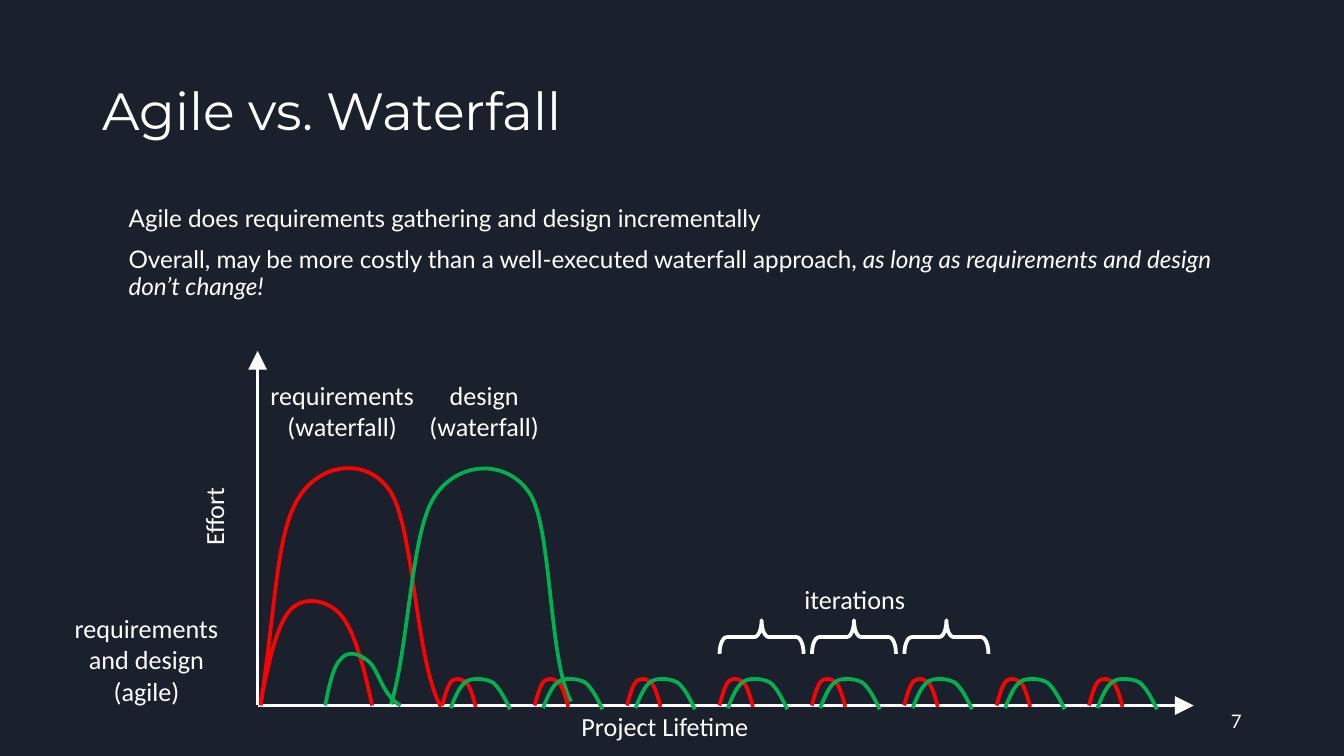
from lxml.etree import SubElement
from pptx import Presentation
from pptx.dml.color import RGBColor
from pptx.enum.shapes import MSO_CONNECTOR, MSO_SHAPE
from pptx.enum.text import MSO_ANCHOR, PP_ALIGN
from pptx.oxml.ns import qn
from pptx.util import Pt

COLORS = {"background": "1B212C", "white": "FFFFFF",
          "requirements": "FF0000", "design": "00B050"}
LINE_WIDTH = 2
ITERATIONS = 8
PITCH = 49.5  # distance between iterations
CURVE_STEPS = 16

# Curves: a start point, then two control points and an end for each segment
WATERFALL_REQUIREMENTS = [
    (139.7, 378), (148.3, 319), (148.3, 285.8), (159.8, 267.1),
    (171.4, 247.7), (196.6, 244.8), (208.8, 262.8),
    (221.8, 281.5), (222.5, 353.5), (236.2, 378.7)]
WATERFALL_DESIGN = [
    (209.5, 377.3), (218.9, 347), (220.3, 285.1), (232.6, 266.4),
    (244.8, 247), (271.4, 245.5), (283.7, 264.2),
    (295.9, 282.2), (293.8, 354.2), (306, 375.8)]
AGILE_REQUIREMENTS = [
    (139.7, 375.8), (144, 355), (148.3, 334.8), (155.5, 326.9),
    (162.7, 319), (175.7, 321.1), (182.9, 329.8),
    (190.1, 338.4), (195.1, 357.8), (199.4, 378)]
AGILE_DESIGN = [
    (174.2, 378), (176.4, 367.2), (178.6, 356.4), (182.9, 352.8),
    (186.5, 348.5), (192.2, 349.9), (197.3, 354.2),
    (203, 358.6), (204.5, 372.2), (214.6, 378)]
ITERATION_REQUIREMENTS = [
    (236.9, 378), (238.3, 373), (239.8, 367.2), (241.9, 365),
    (244.1, 362.9), (247.7, 363.6), (249.9, 365.8),
    (252, 367.9), (253.5, 373.7), (254.9, 378.7)]
ITERATION_DESIGN = [
    (241.4, 379.4), (244, 372.9), (246.4, 367.2), (250, 365),
    (253.6, 362.8), (260.5, 363.6), (264.1, 365.7),
    (267.7, 368.6), (270.6, 374.4), (273.3, 380)]


def rgb(name):
    return RGBColor.from_string(COLORS[name])


def style_runs(p, font, size):
    for r in p.runs:
        r.font.name = font
        r.font.size = Pt(size)
        r.font.color.rgb = rgb("white")


def style_line(s, color):
    s.line.color.rgb = rgb(color)
    s.line.width = Pt(LINE_WIDTH)


def place(s, left, top, width, height):
    s.left, s.top, s.width, s.height = Pt(left), Pt(top), Pt(width), Pt(height)


def set_frame(tf, anchor):
    tf.word_wrap = True
    tf.vertical_anchor = anchor
    tf.margin_left = tf.margin_right = Pt(5.4)
    tf.margin_top = tf.margin_bottom = Pt(2.7)


def add_title(slide, text):
    s = slide.shapes.title
    place(s, 49.5, 21.6, 621, 78.3)
    set_frame(s.text_frame, MSO_ANCHOR.MIDDLE)
    p = s.text_frame.paragraphs[0]
    p.text = text
    p.alignment = PP_ALIGN.LEFT
    p.line_spacing = 0.9
    style_runs(p, "Montserrat", 28)


def add_bullet(p):
    pPr = p._p.get_or_add_pPr()
    pPr.set("marL", str(Pt(14)))
    pPr.set("indent", str(Pt(-14)))
    color = SubElement(pPr, qn("a:buClr"))
    SubElement(color, qn("a:srgbClr"), val=COLORS["background"])
    SubElement(pPr, qn("a:buChar"), char="●")


def add_body(slide, first, second, emphasis):
    s = slide.placeholders[1]
    place(s, 49.5, 108, 621, 257)
    tf = s.text_frame
    set_frame(tf, MSO_ANCHOR.TOP)
    tf.text = f"{first}\n{second}"
    tf.paragraphs[1].add_run().text = emphasis
    tf.paragraphs[1].runs[1].font.italic = True
    for p, before, after in zip(tf.paragraphs, (0, 8), (0, 12)):
        p.line_spacing = 0.9
        p.space_before, p.space_after = Pt(before), Pt(after)
        add_bullet(p)
        style_runs(p, "Lato", 13)


def add_label(slide, text, left, top, width, height, align=PP_ALIGN.CENTER,
              font="Calibri", size=14, anchor=MSO_ANCHOR.TOP):
    s = slide.shapes.add_textbox(Pt(left), Pt(top), Pt(width), Pt(height))
    set_frame(s.text_frame, anchor)
    s.text_frame.text = text
    for p in s.text_frame.paragraphs:
        p.alignment = align
        style_runs(p, font, size)
    return s


def add_axis(slide, x1, y1, x2, y2):
    s = slide.shapes.add_connector(MSO_CONNECTOR.STRAIGHT,
                                   Pt(x1), Pt(y1), Pt(x2), Pt(y2))
    style_line(s, "white")
    SubElement(s.line._get_or_add_ln(), qn("a:tailEnd"),
               type="triangle", w="lg", len="lg")
    SubElement(s._element.spPr, qn("a:effectLst"))


def bezier(a, b, c, d, t):
    u = 1 - t
    return tuple(int(u**3 * i + 3 * u * u * t * j + 3 * u * t * t * k + t**3 * m)
                 for i, j, k, m in zip(a, b, c, d))


def add_curve(slide, points, color, dx=0):
    points = [(Pt(x + dx), Pt(y)) for x, y in points]
    starts = range(0, len(points) - 1, 3)
    # Sampled points give the true extent of the curve
    samples = [bezier(*points[i:i + 4], step / CURVE_STEPS)
               for i in starts for step in range(1, CURVE_STEPS + 1)]
    builder = slide.shapes.build_freeform(*points[0])
    builder.add_line_segments(samples, close=False)
    s = builder.convert_to_shape()
    # Exact Bézier segments take the place of the samples
    geometry = next(s._element.iter(qn("a:path")))
    for segment in geometry.findall(qn("a:lnTo")):
        geometry.remove(segment)
    for i in starts:
        segment = SubElement(geometry, qn("a:cubicBezTo"))
        for x, y in points[i + 1:i + 4]:
            SubElement(segment, qn("a:pt"), x=str(x - s.left), y=str(y - s.top))
    s.shadow.inherit = False
    s.fill.background()
    style_line(s, color)


def add_brace(slide, left):
    s = slide.shapes.add_shape(MSO_SHAPE.LEFT_BRACE,
                               Pt(left), Pt(318.8), Pt(18), Pt(45))
    s.rotation = 90
    s.adjustments[0] = 0.213
    s.shadow.inherit = False
    s.fill.background()
    style_line(s, "white")


def main():
    prs = Presentation()
    prs.slide_width, prs.slide_height = Pt(720), Pt(405)
    slide = prs.slides.add_slide(prs.slide_layouts[1])
    slide.background.fill.solid()
    slide.background.fill.fore_color.rgb = rgb("background")

    # Title and statements
    add_title(slide, "Agile vs. Waterfall")
    add_body(slide, "Agile does requirements gathering and design incrementally",
             "Overall, may be more costly than a well-executed waterfall approach, ",
             "as long as requirements and design don’t change!")

    # Axes
    add_axis(slide, 138, 377.5, 138, 188)
    add_axis(slide, 138, 378, 639.5, 378)
    effort = add_label(slide, "Effort", 89.3, 261.4, 50.4, 22.3, PP_ALIGN.LEFT)
    effort.rotation = 270
    add_label(slide, "Project Lifetime", 306, 378, 123.8, 22.3, PP_ALIGN.LEFT)

    # Effort curves
    add_curve(slide, WATERFALL_REQUIREMENTS, "requirements")
    add_curve(slide, WATERFALL_DESIGN, "design")
    add_curve(slide, AGILE_REQUIREMENTS, "requirements")
    for i in range(ITERATIONS):
        add_curve(slide, ITERATION_REQUIREMENTS, "requirements", i * PITCH)
    add_curve(slide, AGILE_DESIGN, "design")
    for i in range(ITERATIONS):
        add_curve(slide, ITERATION_DESIGN, "design", i * PITCH)

    # Curve labels
    add_label(slide, "requirements\n(waterfall)", 134.3, 200.6, 98, 39.6)
    add_label(slide, "design\n(waterfall)", 222.7, 200.6, 73.4, 39.6)
    add_label(slide, "requirements\nand design (agile)", 23.5, 325.3, 110, 56)

    # Iterations
    add_label(slide, "iterations", 413.3, 309.6, 89.3, 22.3)
    for i in range(3):
        add_brace(slide, 399 + i * PITCH)

    # Slide number
    add_label(slide, "7", 508.5, 375.4, 162, 21.6, PP_ALIGN.RIGHT,
              "Lato", 10, MSO_ANCHOR.MIDDLE)

    prs.save("out.pptx")


if __name__ == "__main__":
    main()
